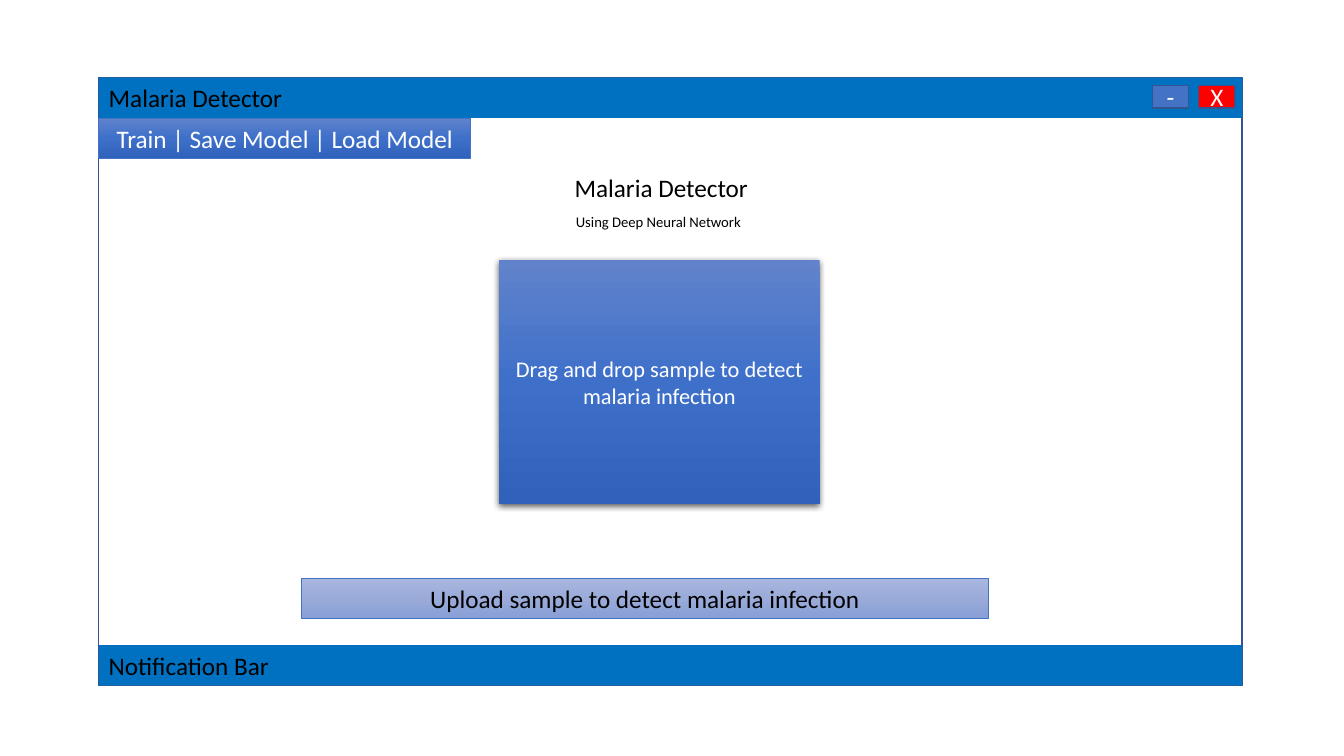
from copy import deepcopy
from lxml.etree import SubElement
from pptx import Presentation
from pptx.dml.color import RGBColor
from pptx.enum.shapes import MSO_SHAPE as Form
from pptx.enum.text import MSO_ANCHOR as Anchor, PP_ALIGN as Align
from pptx.oxml.ns import qn
from pptx.util import Inches, Pt

BLACK = RGBColor(0x00, 0x00, 0x00)
WHITE = RGBColor(0xFF, 0xFF, 0xFF)
RED = RGBColor(0xFF, 0x00, 0x00)
AZURE = RGBColor(0x00, 0x70, 0xC0)
BLUE = RGBColor(0x44, 0x72, 0xC4)
NAVY = RGBColor(0x32, 0x54, 0x91)
DEEP = [RGBColor(0x61, 0x83, 0xCB), RGBColor(0x3E, 0x70, 0xCA), RGBColor(0x30, 0x62, 0xBB)]
PALE = [RGBColor(0xA8, 0xB7, 0xDF), RGBColor(0x9A, 0xAB, 0xD9), RGBColor(0x88, 0x9E, 0xD7)]

deck = Presentation()
deck.slide_width, deck.slide_height = Inches(13.33), Inches(7.5)
slide = deck.slides.add_slide(deck.slide_layouts[6])
window = slide.shapes.add_group_shape().shapes

LEFT, TOP, WIDE, HIGH, ROW = 0.98, 0.77, 11.34, 6.03, 0.4
KEY, STEP = 0.36, 0.46
key = LEFT + WIDE - 0.89


def paint(fill, tint):
    if tint is None:
        fill.background()
    elif isinstance(tint, list):
        fill.gradient()
        fill.gradient_angle = 270
        first = fill.gradient_stops[0]._gs
        first.addnext(deepcopy(first))
        for i, (stop, shade) in enumerate(zip(fill.gradient_stops, tint)):
            stop.color.rgb = shade
            stop.position = i / 2
    else:
        fill.solid()
        fill.fore_color.rgb = tint


def write(shape, text, size, color, align, anchor):
    frame = shape.text_frame
    frame.word_wrap = True
    frame.vertical_anchor = anchor
    para = frame.paragraphs[0]
    para.alignment = align
    run = para.add_run()
    run.text = text
    look = {"name": "Calibri", "size": Pt(size)}
    for name, value in look.items():
        setattr(run.font, name, value)
    run.font.color.rgb = color


bar = (Align.LEFT, Anchor.TOP)
mid = (Align.CENTER, Anchor.MIDDLE)
boxes = [
    ((LEFT, TOP, WIDE, HIGH), None, NAVY, 1, None),
    ((LEFT, TOP + HIGH - ROW, WIDE, ROW), AZURE, None, 0, ("Notification Bar", 18, BLACK, *bar)),
    ((LEFT, TOP, WIDE, ROW), AZURE, None, 0, ("Malaria Detector", 18, BLACK, *bar)),
    ((key, 0.85, KEY, 0.22), BLUE, NAVY, 1, ("-", 18, WHITE, *mid)),
    ((key + STEP, 0.85, KEY, 0.22), RED, NAVY, 1, ("X", 18, WHITE, *mid)),
    ((LEFT, TOP + ROW, 3.69, ROW), DEEP, BLUE, 0.5,
     ("Train | Save Model | Load Model", 18, WHITE, *mid)),
    ((4.95, 2.58, 3.18, 2.42), DEEP, None, 0,
     ("Drag and drop sample to detect malaria infection", 16, WHITE, *mid)),
    ((2.99, 5.74, 6.81, ROW), PALE, BLUE, 0.5,
     ("Upload sample to detect malaria infection", 18, BLACK, *mid)),
]
made = []
for area, tint, edge, width, words in boxes:
    box = window.add_shape(Form.RECTANGLE, *map(Inches, area))
    box.shadow.inherit = False
    paint(box.fill, tint)
    paint(box.line.fill, edge)
    if edge is not None:
        box.line.width = Pt(width)
    if words:
        write(box, *words)
    made.append(box)

drop = made[6]
glow = drop._element.spPr.find(qn("a:effectLst"))
shade = SubElement(glow, qn("a:outerShdw"), blurRad=str(Pt(4.5)), dist=str(Pt(1.5)),
                   dir="5400000", algn="ctr", rotWithShape="0")
ink = SubElement(shade, qn("a:srgbClr"), val="000000")
SubElement(ink, qn("a:alpha"), val="63000")

heads = [
    ((5.6, TOP + ROW + 0.49, 1.95, ROW), "Malaria Detector", 18, Align.LEFT),
    ((5.01, TOP + 2 * ROW + 0.49, 3.04, 0.28), "Using Deep Neural Network", 10.5, Align.CENTER),
]
for area, text, size, align in heads:
    write(window.add_textbox(*map(Inches, area)), text, size, BLACK, align, Anchor.TOP)

deck.save("out.pptx")
